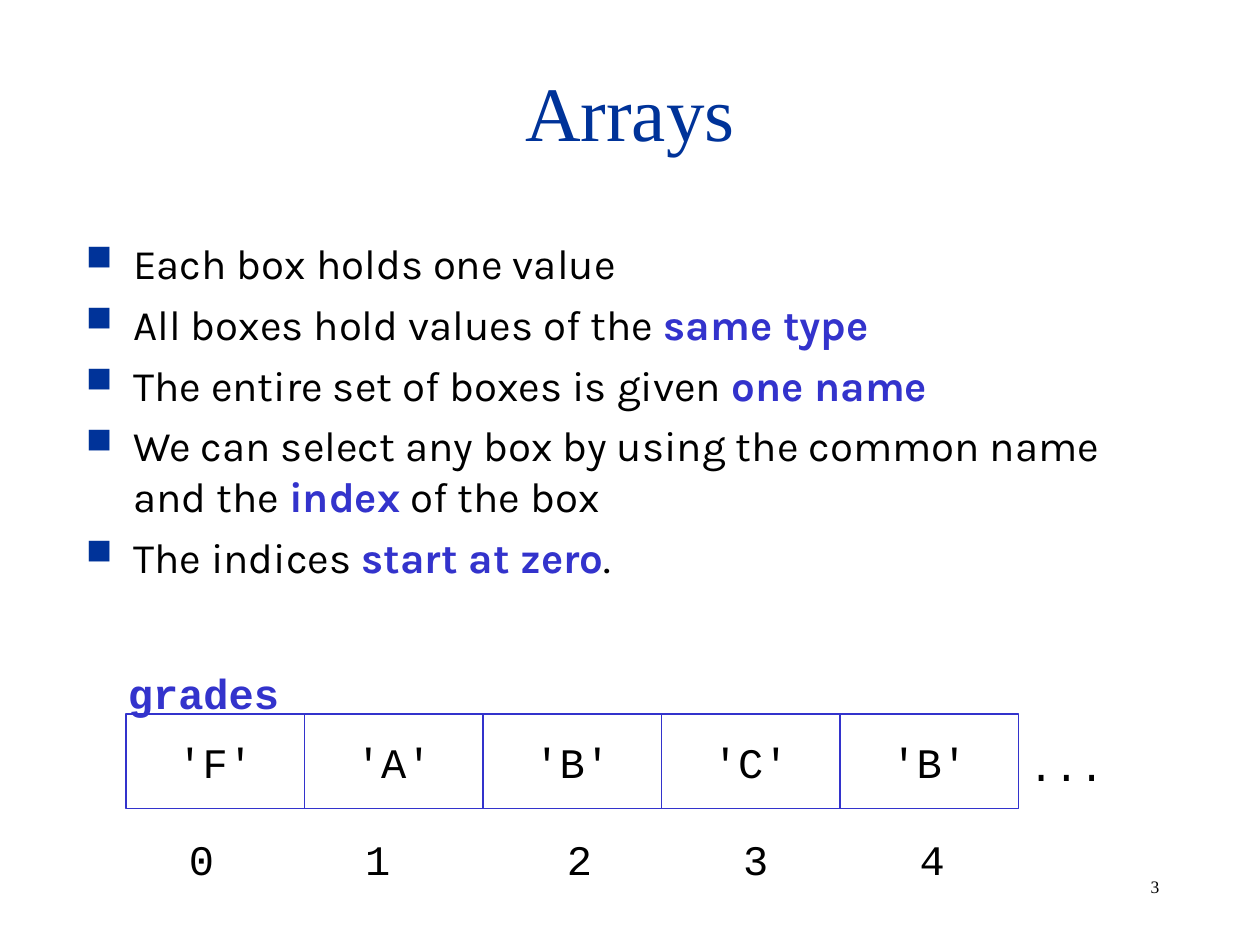
from lxml.etree import SubElement
from pptx import Presentation
from pptx.dml.color import RGBColor
from pptx.enum.shapes import MSO_SHAPE
from pptx.enum.text import MSO_ANCHOR, PP_ALIGN
from pptx.oxml.ns import qn
from pptx.util import Pt

EMU_PER_PX = 7620
BLACK, NAVY, VIOLET = "000000", "003399", "3333CC"
SERIF, SANS, MONO = "Times New Roman", "Karla", "Courier New"


def px(length):
    return length * EMU_PER_PX


def color(value):
    return RGBColor.from_string(value)


class SlideWriter:
    """Holds the text style and the current page, and adds elements to it."""

    def __init__(self, page, size=24):
        self.page = page
        self.size = size

    def style(self, font, name, ink=BLACK, size=None, bold=False):
        font.name = name
        font.size = Pt(size or self.size)
        font.bold = bold
        font.color.rgb = color(ink)

    def text(self, words, left, top, width, height, name=MONO, wrap=False,
             align=PP_ALIGN.LEFT, anchor=MSO_ANCHOR.TOP, **look):
        box = self.page.shapes.add_textbox(px(left), px(top), px(width), px(height))
        return self.fill_text(box, words, name, wrap, align, anchor, **look)

    def fill_text(self, box, words, name, wrap, align, anchor, **look):
        frame = box.text_frame
        frame.text = words
        frame.word_wrap = wrap
        frame.vertical_anchor = anchor
        paragraph = frame.paragraphs[0]
        paragraph.alignment = align
        for span in paragraph.runs:
            self.style(span.font, name, **look)
        return paragraph

    def cell(self, words, left, top, width, height):
        box = self.page.shapes.add_shape(
            MSO_SHAPE.RECTANGLE, px(left), px(top), px(width), px(height))
        box.shadow.inherit = False
        box.fill.background()
        box.line.color.rgb = color(VIOLET)
        box.line.width = Pt(0.75)
        self.fill_text(box, words, MONO, False, PP_ALIGN.CENTER, MSO_ANCHOR.MIDDLE)

    def tabbed(self, words, stops, left, top, width, height):
        paragraph = self.text("\t".join(words), left, top, width, height)
        tabs = SubElement(paragraph._p.get_or_add_pPr(), qn("a:tabLst"))
        for stop in stops:
            SubElement(tabs, qn("a:tab"), pos=str(px(stop)), algn="l")

    def bullets(self, lines, left, top, width, height, indent=45):
        box = self.page.shapes.add_textbox(px(left), px(top), px(width), px(height))
        frame = box.text_frame
        frame.word_wrap = True
        for number, line in enumerate(lines):
            paragraph = frame.add_paragraph() if number else frame.paragraphs[0]
            if number:
                paragraph.space_before = Pt(6)
            self.add_bullet(paragraph, indent)
            for position, part in enumerate(line.split("*")):
                if part:
                    strong = position % 2 == 1
                    span = paragraph.add_run()
                    span.text = part
                    self.style(span.font, SANS, VIOLET if strong else BLACK, bold=strong)

    def add_bullet(self, paragraph, indent):
        properties = paragraph._p.get_or_add_pPr()
        properties.set("marL", str(px(indent)))
        properties.set("indent", str(px(-indent)))
        tint = SubElement(properties, qn("a:buClr"))
        SubElement(tint, qn("a:srgbClr"), val=NAVY)
        SubElement(properties, qn("a:buSzPct"), val="85000")
        SubElement(properties, qn("a:buChar"), char="■")


def main():
    deck = Presentation()
    deck.slide_width, deck.slide_height = px(1200), px(900)
    writer = SlideWriter(deck.slides.add_slide(deck.slide_layouts[6]))

    writer.text("3", 1084, 828, 94, 32, SERIF, wrap=True, size=10)
    writer.text("Arrays", 90, 30, 1020, 150, SERIF, wrap=True,
                align=PP_ALIGN.CENTER, anchor=MSO_ANCHOR.MIDDLE, ink=NAVY, size=44)
    writer.bullets([
        "Each box holds one value",
        "All boxes hold values of the *same type*",
        "The entire set of boxes is given *one name*",
        "We can select any box by using the common name and the *index* of the box",
        "The indices *start at zero*.",
    ], 70, 220, 1050, 610)

    cell_width = 170
    for index, grade in enumerate("FABCB"):
        writer.cell(f"'{grade}'", 120 + index * cell_width, 680, cell_width, 90)
    writer.text("...", 968, 698, 96, 60)
    writer.text("grades", 110, 630, 168, 60, ink=VIOLET, bold=True)
    writer.tabbed("01234", (168, 360, 528, 696), 168, 788, 744, 60)

    deck.save("out.pptx")


if __name__ == "__main__":
    main()
